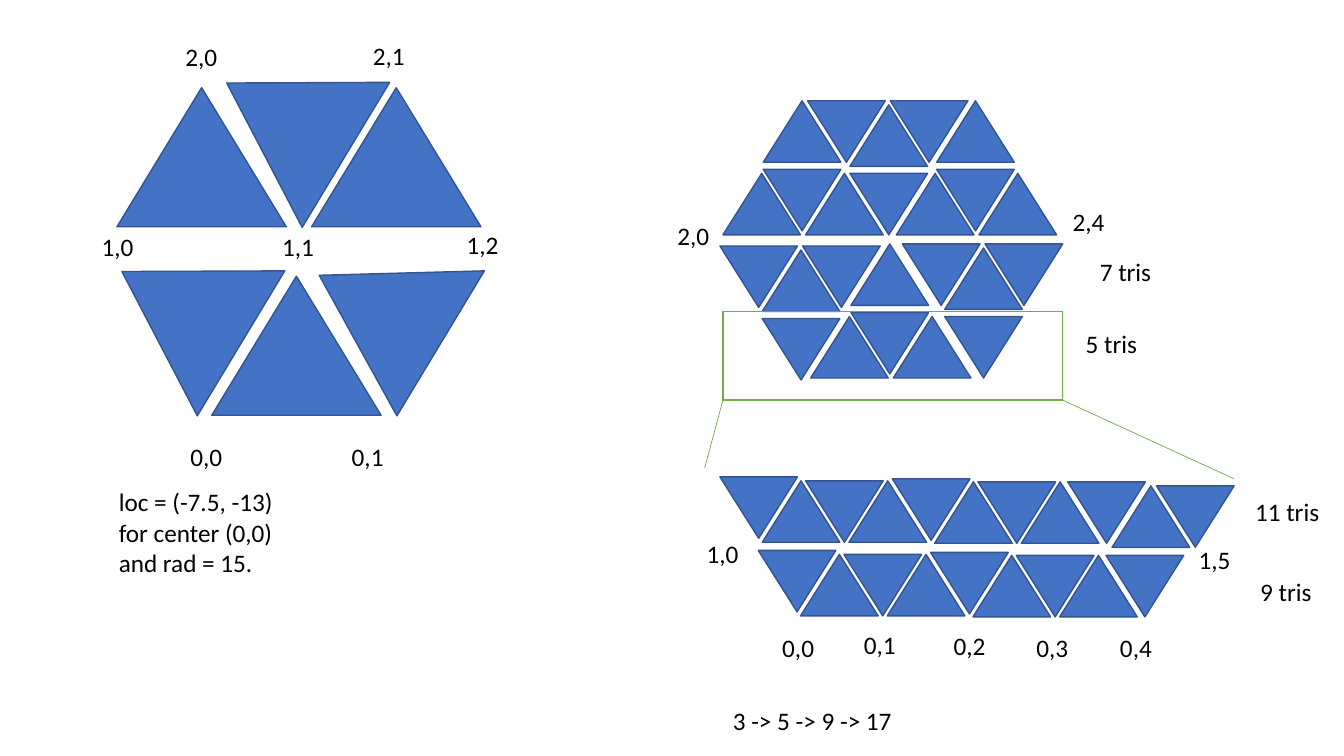
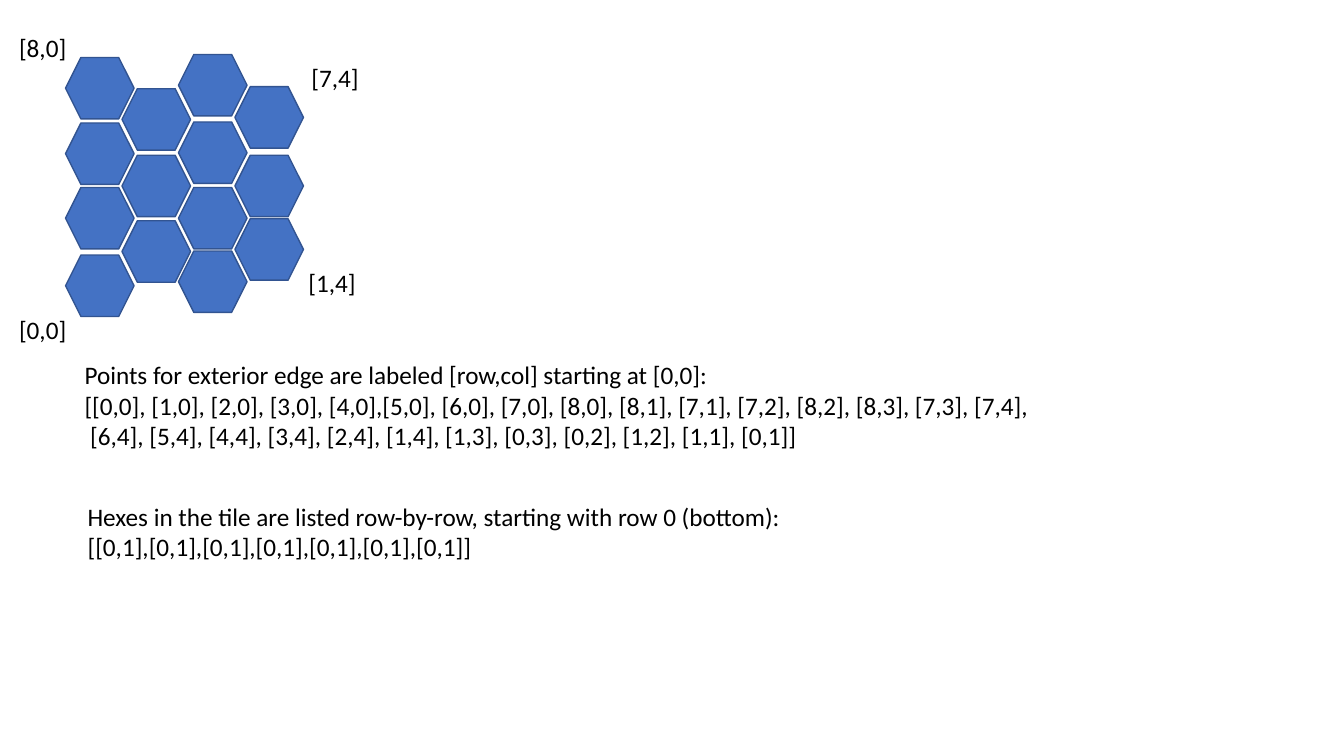
"""Builds two slides on indexing triangle and hexagon tilings."""
from lxml import etree
from pptx import Presentation
from pptx.dml.color import RGBColor
from pptx.enum.shapes import MSO_CONNECTOR, MSO_SHAPE
from pptx.enum.text import MSO_AUTO_SIZE
from pptx.oxml.ns import qn
from pptx.util import Pt

TRIANGLE = MSO_SHAPE.ISOSCELES_TRIANGLE
HEXAGON = MSO_SHAPE.HEXAGON
RECTANGLE = MSO_SHAPE.RECTANGLE
STRAIGHT = MSO_CONNECTOR.STRAIGHT
FIT = MSO_AUTO_SIZE.SHAPE_TO_FIT_TEXT

PX = 9144
THEME = {
    "fill": RGBColor(0x44, 0x72, 0xC4),
    "edge": RGBColor(0x32, 0x54, 0x91),
    "zoom": RGBColor(0x70, 0xAD, 0x47),
    "text": RGBColor(0, 0, 0),
    "font": {"name": "Calibri", "size": Pt(18)},
    "outline": Pt(1),
    "hairline": Pt(0.5),
}


def add_tile(shapes, kind, x, y, w, h, rotation=0):
    sp = shapes.add_shape(kind, x * PX, y * PX, w * PX, h * PX)
    sp.shadow.inherit = False
    sp.fill.solid()
    sp.fill.fore_color.rgb = THEME["fill"]
    sp.line.color.rgb = THEME["edge"]
    sp.line.width = THEME["outline"]
    sp.rotation = rotation
    return sp


def add_text(s, x, y, w, h, *paragraphs):
    sp = s.shapes.add_textbox(x * PX, y * PX, w * PX, h * PX)
    tf = sp.text_frame
    tf.word_wrap = False
    tf.auto_size = FIT
    for i, text in enumerate(paragraphs):
        p = tf.add_paragraph() if i else tf.paragraphs[0]
        p.text = text
        for r in p.runs:
            for name, value in THEME["font"].items():
                setattr(r.font, name, value)
            r.font.color.rgb = THEME["text"]


prs = Presentation()
prs.slide_width, prs.slide_height = 1333 * PX, 750 * PX
blank = prs.slide_layouts[6]

s = prs.slides.add_slide(blank)
TILTED = 301.1
for x, y, rotation in [(210, 274, 0), (96, 236, TILTED), (294, 236, TILTED),
                       (116, 87, 0), (200, 49, TILTED), (309, 87, 0)]:
    sp = add_tile(s.shapes, TRIANGLE, x, y, 168, 138, rotation)
    if (x, y) == (294, 236):
        sp.adjustments[0] = 0.474

TRI_W, TRI_H = 77, 61
UP, DOWN = 0, 180
up_cluster = [(40, 0, UP), (40, 68, DOWN), (82, 72, UP), (0, 72, UP)]
down_cluster = [(42, 72, DOWN), (42, 4, UP), (0, 0, DOWN), (82, 0, DOWN)]
strip = [(0, 0), (42, 4), (85, 4), (128, 4), (171, 2), (213, 5),
         (256, 5), (299, 5), (345, 5), (389, 9), (433, 9)]
strip = [(dx, dy, UP if i % 2 else DOWN) for i, (dx, dy) in enumerate(strip)]
for left, top, tiles in [(717, 100, up_cluster), (889, 100, up_cluster),
                         (804, 242, up_cluster), (714, 244, down_cluster),
                         (895, 242, down_cluster), (801, 100, down_cluster),
                         (714, 473, strip), (752, 546, strip[:9])]:
    group = s.shapes.add_group_shape()
    for dx, dy, rotation in tiles:
        add_tile(group.shapes, TRIANGLE, left + dx, top + dy, TRI_W, TRI_H, rotation)

sp = s.shapes.add_shape(RECTANGLE, 717 * PX, 309 * PX, 337 * PX, 88 * PX)
sp.shadow.inherit = False
sp.fill.background()
sp.line.color.rgb = THEME["zoom"]
sp.line.width = THEME["outline"]
for x1, y1, x2, y2 in [(717, 397, 699, 464), (1054, 397, 1224, 475)]:
    line = s.shapes.add_connector(STRAIGHT, x1 * PX, y1 * PX, x2 * PX, y2 * PX)
    line.line.color.rgb = THEME["zoom"]
    line.line.width = THEME["hairline"]
    etree.SubElement(line._element.spPr, qn("a:effectLst"))

for x, y, label in [(179, 433, "0,0"), (339, 433, "0,1"), (91, 225, "1,0"),
                    (270, 225, "1,1"), (453, 223, "1,2"), (174, 36, "2,0"),
                    (360, 35, "2,1"), (766, 622, "0,0"), (847, 619, "0,1"),
                    (936, 620, "0,2"), (1018, 622, "0,3"), (1101, 622, "0,4"),
                    (1179, 535, "1,5"), (691, 529, "1,0"), (662, 214, "2,0"),
                    (1054, 200, "2,4")]:
    add_text(s, x, y, 52, 40, label)
for x, y, w, label in [(1067, 321, 72, "5 tris"), (1081, 249, 72, "7 tris"),
                       (1240, 567, 72, "9 tris"), (1235, 487, 84, "11 tris"),
                       (717, 695, 180, "3 -> 5 -> 9 -> 17")]:
    add_text(s, x, y, w, 40, label)
add_text(s, 108, 478, 174, 101, "loc = (-7.5, -13)", "for center (0,0)\vand rad = 15.")

s = prs.slides.add_slide(blank)
group = s.shapes.add_group_shape()
hex_columns = [(57, 122, 186, 253), (88, 154, 219), (54, 121, 186, 249), (86, 154, 217)]
for col, tops in enumerate(hex_columns):
    for top in tops:
        add_tile(group.shapes, HEXAGON, 65 + 56 * col, top, 68, 61)

for x, y, label in [(9, 27, "[8,0]"), (299, 57, "[7,4]"), (9, 307, "[0,0]"), (296, 260, "[1,4]")]:
    add_text(s, x, y, 68, 40, label)
add_text(s, 74, 352, 967, 101,
         "Points for exterior edge are labeled [row,col] starting at [0,0]:",
         "[[0,0], [1,0], [2,0], [3,0], [4,0],[5,0], [6,0], [7,0], [8,0], [8,1], "
         "[7,1], [7,2], [8,2], [8,3], [7,3], [7,4],",
         " [6,4], [5,4], [4,4], [3,4], [2,4], [1,4], [1,3], [0,3], [0,2], [1,2], [1,1], [0,1]]")
add_text(s, 77, 492, 709, 71,
         "Hexes in the tile are listed row-by-row, starting with row 0 (bottom):",
         "[[0,1],[0,1],[0,1],[0,1],[0,1],[0,1],[0,1]]")

prs.save("out.pptx")
